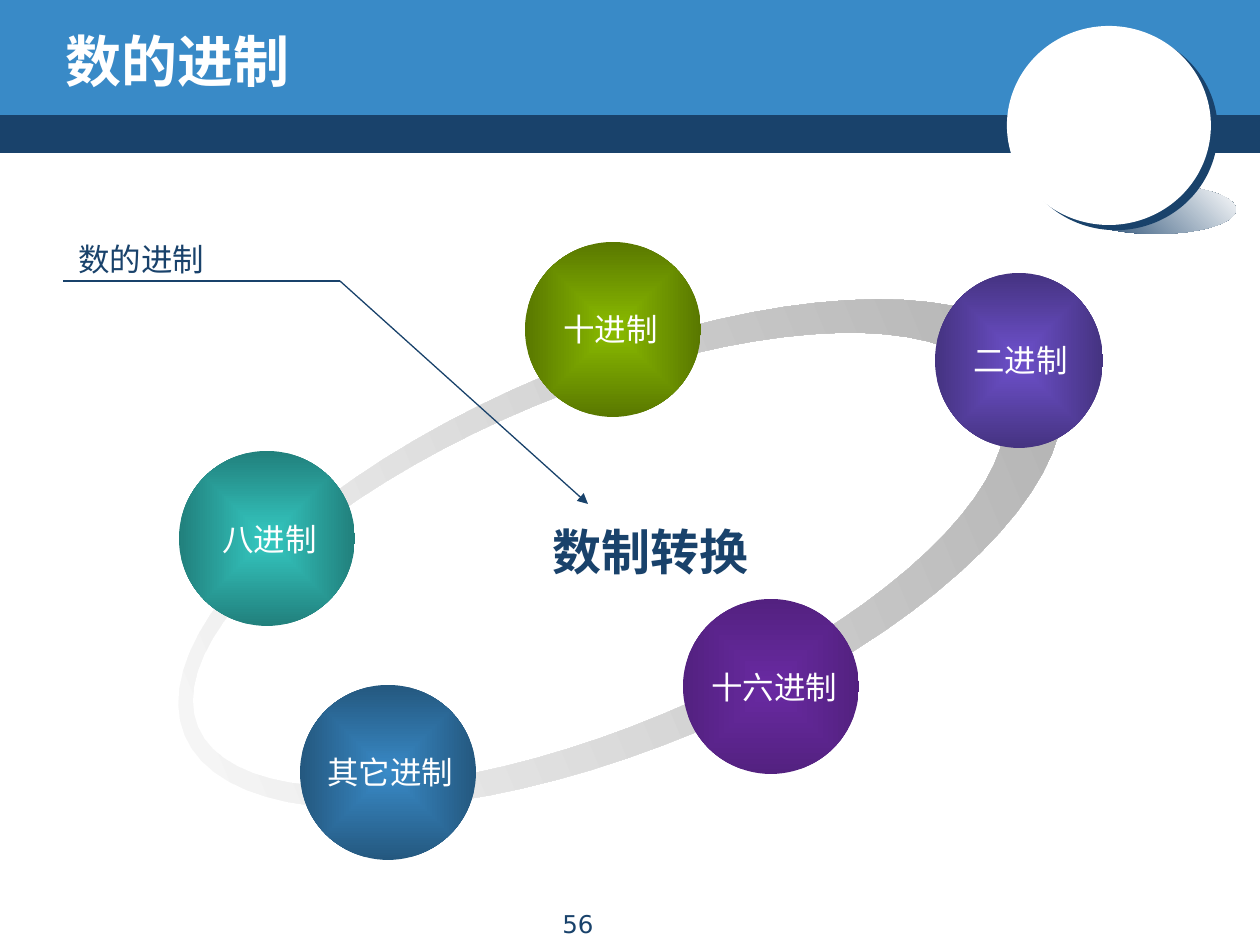
import math
import pptx
import pptx.util
import pptx.dml.color
import pptx.enum.shapes
import pptx.enum.text
from lxml import etree
from pptx.oxml.ns import qn

PX = 7257  # EMU in one px, 126 px to the inch
NAVY, BLUE, WHITE = "19426B", "398AC7", "FFFFFF"
SANS = "DejaVu Sans"

# Content: boxes are left, top, width, height in px
BANDS = [((0, 110, 1260, 43), NAVY), ((0, 0, 1260, 115), BLUE)]
GLOW = (1076, 185, 160, 49)
DISC = (1007, 26, 204, 199)

# Ellipses of the ring: centre x, centre y, half width, half height
RING = [(620.5, 554, 472, 193.5), (599, 560, 434.5, 167)]
TILT, STEPS = 22.6, 80

# Ball box, colour, edge shade in %, label, label left and top
BALLS = [
    ((525, 242, 176, 175), "8BBC00", 36, "十进制", (551, 304)),
    ((179, 451, 176, 175), "35C9C2", 36, "八进制", (210, 514)),
    ((300, 685, 176, 175), BLUE, 36, "其它进制", (315, 747)),
    ((683, 599, 176, 175), "692AA2", 59, "十六进制", (699, 662)),
    ((935, 273, 168, 175), "6D50CA", 36, "二进制", (961, 335)),
]

# Text, box, size, font, colour, bold, centred, wrapped
TEXTS = [
    ("数的进制", (53, 21, 1018, 78), 32, "Comic Neue", WHITE, True, False, True),
    ("数制转换", (472, 515, 357, 72), 28, "Arial", NAVY, True, True, True),
    ("数的进制", (66, 234, 152, 50), 18, SANS, NAVY, False, False, False),
    ("56", (431, 903, 294, 33), 14, SANS, NAVY, False, True, True),
]
BEND, LEFT, TIP = (340, 281), (63, 281), (588, 504)

deck = pptx.Presentation()
deck.slide_width, deck.slide_height = 1260 * PX, 945 * PX
slide = deck.slides.add_slide(deck.slide_layouts[6])
shapes = slide.shapes


def emu(nums):
    return [round(n * PX) for n in nums]


def rgb(code):
    return pptx.dml.color.RGBColor.from_string(code)


def sub(node, tag, **vals):
    return etree.SubElement(node, qn(tag), {k: str(v) for k, v in vals.items()})


def clean(shape):
    shape.shadow.inherit = False
    shape.line.fill.background()
    return shape


def solid(kind, box, color):
    shape = clean(shapes.add_shape(kind, *emu(box)))
    shape.fill.solid()
    shape.fill.fore_color.rgb = rgb(color)
    return shape


def blend(shape, first, last, angle=None, shade=None):
    """Linear gradient at an angle, or one from the centre outwards."""
    shape.fill.gradient()
    fill = shape.element.spPr.find(qn("a:gradFill"))
    for child in list(fill):
        fill.remove(child)
    stops = sub(fill, "a:gsLst")
    for pos, color in ((0, first), (100000, last)):
        tone = sub(sub(stops, "a:gs", pos=pos), "a:srgbClr", val=color)
        if pos and shade:
            sub(tone, "a:shade", val=shade * 1000)
    if angle is None:
        rect = sub(fill, "a:path", path="shape")
        sub(rect, "a:fillToRect", l=50000, t=50000, r=50000, b=50000)
    else:
        sub(fill, "a:lin", ang=round(angle * 60000), scaled=0)


def write(text, box, size, face, color, bold=False, mid=False, wrap=False):
    frame = shapes.add_textbox(*emu(box)).text_frame
    frame.word_wrap = wrap
    para = frame.paragraphs[0]
    para.text = text
    if mid:
        para.alignment = pptx.enum.text.PP_ALIGN.CENTER
    font = para.font
    font.size, font.name, font.bold = pptx.util.Pt(size), face, bold
    font.color.rgb = rgb(color)
    return frame


def oval(cx, cy, rx, ry):
    cos, sin = math.cos(math.radians(TILT)), math.sin(math.radians(TILT))
    dots = []
    for i in range(STEPS):
        turn = 2 * math.pi * i / STEPS
        x, y = rx * math.cos(turn), ry * math.sin(turn)
        dots.append(emu((cx + x * cos + y * sin, cy - x * sin + y * cos)))
    return dots


def rule(start, end, arrow=False):
    line = shapes.add_connector(
        pptx.enum.shapes.MSO_CONNECTOR.STRAIGHT, *emu(start + end))
    line.line.color.rgb = rgb(NAVY)
    line.line.width = pptx.util.Pt(0.75)
    if arrow:
        sub(line.line._get_or_add_ln(), "a:tailEnd", type="triangle")
    sub(line.element.spPr, "a:effectLst")


KIND = pptx.enum.shapes.MSO_SHAPE

# Header bands and round badge
for box, color in BANDS:
    solid(KIND.RECTANGLE, box, color)
blend(solid(KIND.OVAL, GLOW, NAVY), NAVY, WHITE, 315)
disc = solid(KIND.OVAL, DISC, WHITE)
cast = sub(disc.element.spPr.find(qn("a:effectLst")), "a:outerShdw",
           dist=pptx.util.Pt(5), dir=37 * 60000, algn="ctr", rotWithShape=0)
sub(cast, "a:srgbClr", val=NAVY)

# Tilted ring
outer, inner = [oval(*part) for part in RING]
path = shapes.build_freeform(*outer[0])
path.add_line_segments(outer[1:], close=True)
path.move_to(*inner[0])
path.add_line_segments(inner[1:], close=True)
blend(clean(path.convert_to_shape()), "F7F7F7", "B2B2B2", 360 - TILT)

# Balls, then their labels
for box, color, shade, label, spot in BALLS:
    blend(solid(KIND.OVAL, box, color), color, color, shade=shade)
for box, color, shade, label, spot in BALLS:
    wide = 25 + 32 * len(label)
    write(label, (*spot, wide, 50), 18, SANS, WHITE)

# Callout lines and other text
rule(BEND, TIP, arrow=True)
rule(BEND, LEFT)
title, *rest = [write(*item) for item in TEXTS]
title.vertical_anchor = pptx.enum.text.MSO_ANCHOR.MIDDLE

deck.save("out.pptx")
